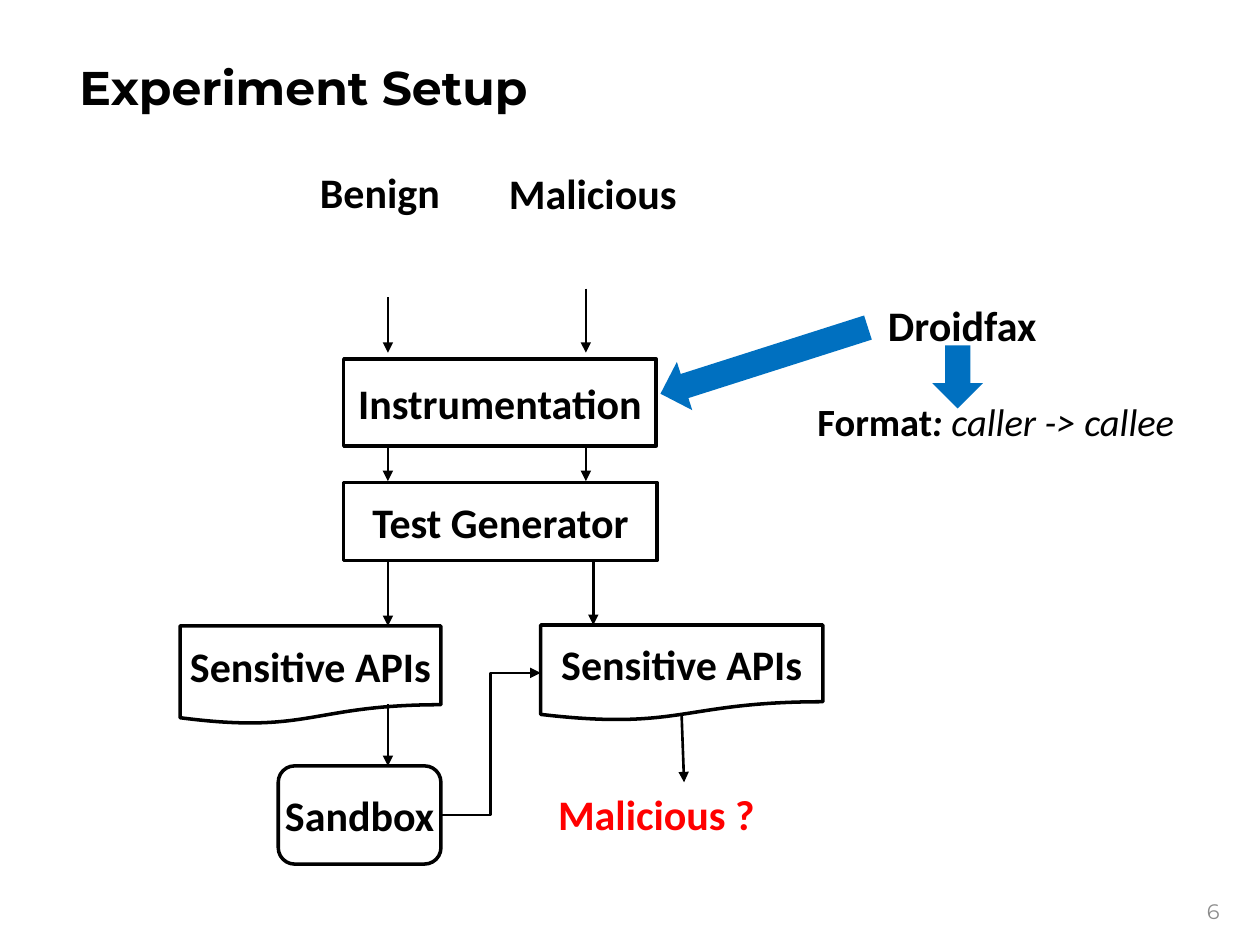
from pptx import Presentation
from pptx.dml.color import RGBColor
from pptx.enum.shapes import MSO_CONNECTOR as CONN, MSO_SHAPE as SHAPE
from pptx.enum.text import MSO_ANCHOR as ANCHOR, PP_ALIGN as ALIGN
from pptx.util import Cm, Pt
from lxml.etree import SubElement
from pptx.oxml.ns import qn

BLACK, RED, BLUE, GRAY = "000000", "FF0000", "0070C0", "8C8C8C"


def rgb(value):
    """Turn a hex string into a colour."""
    return RGBColor.from_string(value)


def add_run(p, text, size=24, color=BLACK, font="Calibri", bold=True, italic=False):
    """Append one formatted run to a paragraph."""
    r = p.add_run()
    r.text = text
    r.font.size, r.font.name = Pt(size), font
    r.font.bold, r.font.italic = bold, italic
    r.font.color.rgb = rgb(color)


def add_title(s, text):
    """Place and format the title placeholder."""
    sp = s.shapes.title
    sp.left, sp.top, sp.width, sp.height = Cm(1.27), Cm(0.76), Cm(22.86), Cm(1.98)
    tf = sp.text_frame
    tf.vertical_anchor = ANCHOR.MIDDLE
    tf.margin_left = tf.margin_right = Cm(0.33)
    tf.margin_top = tf.margin_bottom = Cm(0.18)
    tf.paragraphs[0].alignment = ALIGN.LEFT
    add_run(tf.paragraphs[0], text, 27, font="Montserrat")


def add_label(s, x, y, w, h=1.27):
    """Add an unwrapped text box and return its paragraph."""
    tf = s.shapes.add_textbox(Cm(x), Cm(y), Cm(w), Cm(h)).text_frame
    tf.word_wrap = False
    return tf.paragraphs[0]


def add_step(s, kind, text, x, y, w, h):
    """Add an outlined flowchart step with centred text."""
    sp = s.shapes.add_shape(kind, Cm(x), Cm(y), Cm(w), Cm(h))
    sp.shadow.inherit = False
    sp.fill.background()
    sp.line.color.rgb, sp.line.width = rgb(BLACK), Pt(2)
    tf = sp.text_frame
    tf.word_wrap, tf.vertical_anchor = True, ANCHOR.MIDDLE
    tf.margin_left = tf.margin_right = 0
    tf.paragraphs[0].alignment = ALIGN.CENTER
    add_run(tf.paragraphs[0], text)
    return sp


def add_arrow(s, x1, y1, x2, y2, kind=CONN.STRAIGHT):
    """Add a thin connector that ends in a triangle."""
    c = s.shapes.add_connector(kind, Cm(x1), Cm(y1), Cm(x2), Cm(y2))
    c.line.color.rgb, c.line.width = rgb(BLACK), Pt(1.5)
    SubElement(c.line._get_or_add_ln(), qn("a:tailEnd"), type="triangle")
    SubElement(c._element.spPr, qn("a:effectLst"))
    return c


def add_block_arrow(s, x, y, w, rotation):
    """Add a rotated solid block arrow."""
    sp = s.shapes.add_shape(SHAPE.RIGHT_ARROW, Cm(x), Cm(y), Cm(w), Cm(1.02))
    sp.shadow.inherit = False
    sp.fill.solid()
    sp.fill.fore_color.rgb = rgb(BLUE)
    sp.line.fill.background()
    sp.rotation = rotation


def main():
    """Build the experiment setup slide."""
    prs = Presentation()
    prs.slide_width, prs.slide_height = Cm(25.4), Cm(19.05)
    s = prs.slides.add_slide(prs.slide_layouts[5])
    add_title(s, "Experiment Setup")

    add_step(s, SHAPE.RECTANGLE, "Instrumentation", 6.93, 7.24, 6.3, 1.75)
    add_step(s, SHAPE.RECTANGLE, "Test Generator", 6.93, 9.73, 6.32, 1.57)
    add_step(s, SHAPE.FLOWCHART_DOCUMENT, "Sensitive APIs", 3.63, 12.62, 5.26, 1.98)
    apis = add_step(s, SHAPE.FLOWCHART_DOCUMENT, "Sensitive APIs", 10.9, 12.6, 5.69, 1.93)
    sandbox = add_step(s, SHAPE.ROUNDED_RECTANGLE, "Sandbox", 5.61, 15.44, 3.28, 1.98)

    benign_x, malicious_x = 7.82, 11.81
    for x, top, bottom in [
        (benign_x, 5.99, 7.11), (malicious_x, 5.82, 7.11),
        (benign_x, 8.99, 9.7), (malicious_x, 8.99, 9.7),
        (benign_x, 11.3, 12.62), (11.96, 11.3, 12.6),
        (benign_x, 14.2, 15.44),
    ]:
        add_arrow(s, x, top, x, bottom)
    add_arrow(s, 13.74, 14.4, 13.79, 15.77)
    elbow = add_arrow(s, 8.89, 16.43, 10.9, 13.56, CONN.ELBOW)
    elbow.begin_connect(sandbox, 3)
    elbow.end_connect(apis, 1)

    for text, x, y, w, color in [
        ("Benign", 6.2, 3.23, 2.95, BLACK),
        ("Malicious", 10.01, 3.25, 3.94, BLACK),
        ("Malicious ?", 11, 15.77, 5.59, RED),
        ("Droidfax", 17.65, 5.92, 3.53, BLACK),
    ]:
        add_run(add_label(s, x, y, w), text, color=color)

    add_block_arrow(s, 13.21, 6.76, 4.39, 162.3)
    p = add_label(s, 16.23, 7.9, 7.9, 1.19)
    add_run(p, "Format", 22)
    add_run(p, ": ", 22, italic=True)
    add_run(p, "caller -> callee", 22, bold=False, italic=True)
    add_block_arrow(s, 18.67, 7.09, 1.27, 90)

    p = add_label(s, 24.08, 17.98, 1.07, 0.76)
    add_run(p, "6", 12, GRAY, "Montserrat", bold=False)
    prs.save("out.pptx")


if __name__ == "__main__":
    main()
